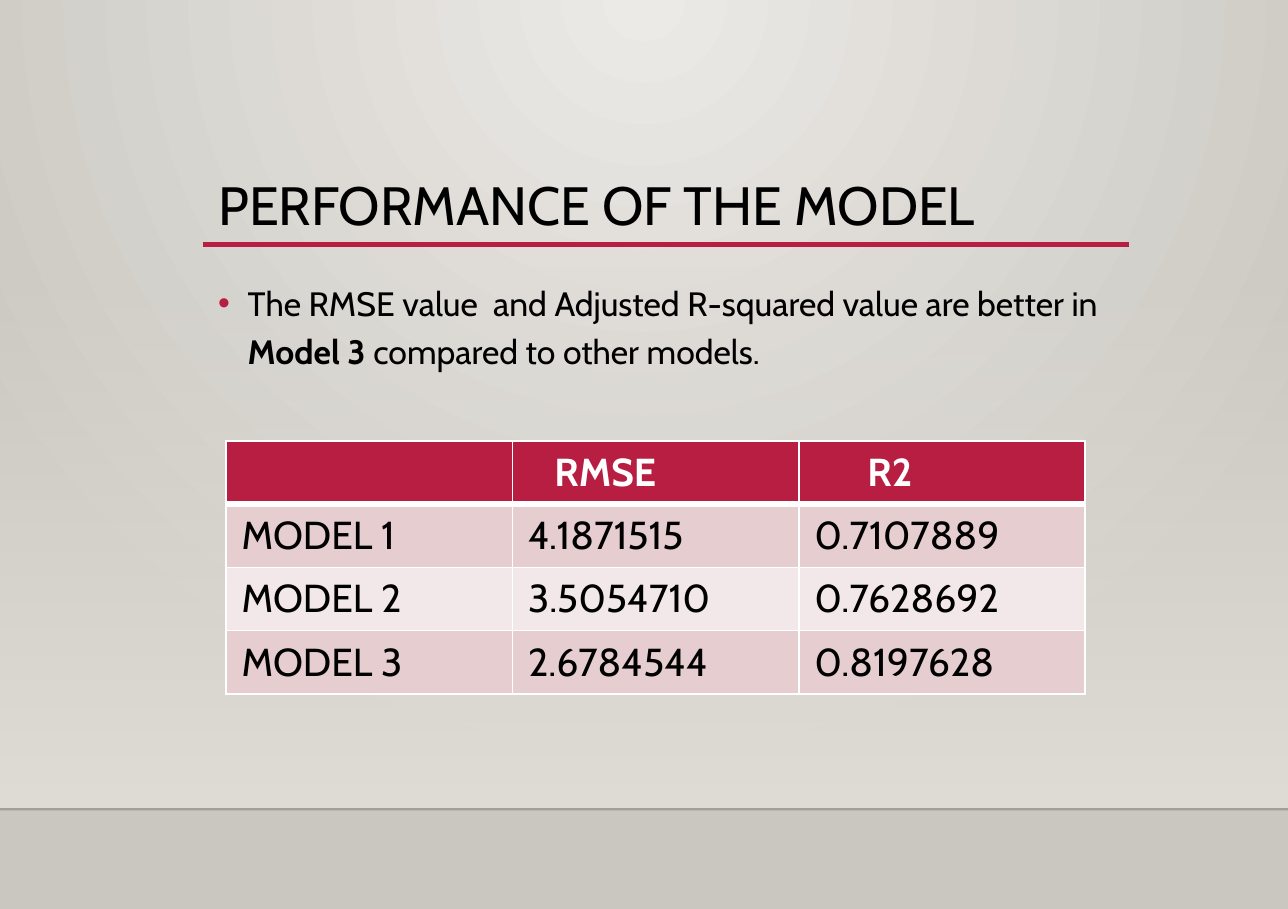
from dataclasses import dataclass

from lxml import etree
from pptx import Presentation
from pptx.dml.color import RGBColor
from pptx.enum.shapes import MSO_CONNECTOR, MSO_SHAPE
from pptx.enum.text import MSO_ANCHOR, MSO_AUTO_SIZE, PP_ALIGN
from pptx.oxml.ns import qn
from pptx.util import Inches, Pt

STRAIGHT = MSO_CONNECTOR.STRAIGHT
RECTANGLE = MSO_SHAPE.RECTANGLE
LEFT = PP_ALIGN.LEFT
BOTTOM, MIDDLE = MSO_ANCHOR.BOTTOM, MSO_ANCHOR.MIDDLE
NO_AUTOFIT = MSO_AUTO_SIZE.NONE

CRIMSON = RGBColor(0xB7, 0x1E, 0x42)
ROSE = RGBColor(0xE6, 0xCD, 0xCF)
PALE_ROSE = RGBColor(0xF3, 0xE8, 0xE9)
BLACK = RGBColor(0, 0, 0)
WHITE = RGBColor(0xFF, 0xFF, 0xFF)
NEAR_BLACK = RGBColor(0, 0, 1)
LIGHT_STONE = RGBColor(0xEC, 0xEA, 0xE7)
DARK_STONE = RGBColor(0xCA, 0xC7, 0xC1)
SAND = RGBColor(0xDF, 0xDB, 0xD5)

FONT = "Cabin"
WIDTH, HEIGHT = Inches(8.26), Inches(5.83)


def across(percent: float) -> int:
    return round(WIDTH * percent / 100)


def down(percent: float) -> int:
    return round(HEIGHT * percent / 100)


@dataclass
class Area:
    """A place on the slide, in percent of its width and height."""
    left: float
    top: float
    width: float
    height: float

    def box(self) -> tuple:
        return (across(self.left), down(self.top),
                across(self.width), down(self.height))


@dataclass
class Rule:
    """A horizontal line, in percent of the slide's width and height."""
    left: float
    right: float
    top: float
    color: RGBColor
    weight: float
    opacity: int = 100


@dataclass
class Header:
    label: str
    indent: float


TITLE_AREA = Area(15.74, 18.52, 71.91, 8.4)
BODY_AREA = Area(15.74, 29.33, 71.91, 50.43)
PANEL_AREA = Area(0, 29.33, 100, 59.52)
TABLE_AREA = Area(17.55, 48.54, 66.71, 27.79)

RULES = [
    Rule(0, 100, 89.02, NEAR_BLACK, 1, 20),
    Rule(15.74, 87.65, 26.93, CRIMSON, 2.5),
]

HEADERS = [Header("", 0.1), Header("RMSE", 0.27), Header("R2", 0.44)]
SCORES = [
    ("MODEL 1", "4.1871515", "0.7107889"),
    ("MODEL 2", "3.5054710", "0.7628692"),
    ("MODEL 3", "2.6784544", "0.8197628"),
]


def set_opacity(element, percent: int) -> None:
    color = next(element.iter(qn("a:srgbClr")))
    etree.SubElement(color, qn("a:alpha"), val=str(percent * 1000))


def set_gradient(fill, start: RGBColor, end: RGBColor) -> None:
    fill.gradient()
    for stop, color in zip(fill.gradient_stops, (start, end)):
        stop.color.rgb = color


def style_run(run, size: float, color: RGBColor, bold: bool = False) -> None:
    run.font.name = FONT
    run.font.size = Pt(size)
    run.font.color.rgb = color
    run.font.bold = bold


def paint_background(slide) -> None:
    set_gradient(slide.background.fill, LIGHT_STONE, DARK_STONE)
    gradient = next(slide.element.iter(qn("a:gradFill")))
    gradient.remove(gradient.find(qn("a:lin")))
    circle = etree.SubElement(gradient, qn("a:path"), path="circle")
    etree.SubElement(circle, qn("a:fillToRect"),
                     l="43000", t="0", r="43000", b="100000")


def add_panel(slide) -> None:
    panel = slide.shapes.add_shape(RECTANGLE, *PANEL_AREA.box())
    panel.shadow.inherit = False
    panel.line.fill.background()
    set_gradient(panel.fill, SAND, SAND)
    panel.fill.gradient_angle = 270
    set_opacity(next(panel.element.iter(qn("a:gs"))), 0)


def add_rule(slide, rule: Rule) -> None:
    line = slide.shapes.add_connector(STRAIGHT, across(rule.left), down(rule.top),
                                      across(rule.right), down(rule.top))
    line.line.color.rgb = rule.color
    line.line.width = Pt(rule.weight)
    properties = line.element.spPr
    if rule.opacity < 100:
        set_opacity(properties, rule.opacity)
    etree.SubElement(properties, qn("a:effectLst"))


def write_title(slide) -> None:
    title = slide.shapes.title
    title.left, title.top, title.width, title.height = TITLE_AREA.box()
    frame = title.text_frame
    frame.text = "PERFORMANCE OF THE MODEL"
    frame.word_wrap = True
    frame.auto_size = NO_AUTOFIT
    frame.vertical_anchor = BOTTOM
    heading = frame.paragraphs[0]
    heading.alignment = LEFT
    heading.line_spacing = 0.9
    style_run(heading.runs[0], 24.9, BLACK)


def write_finding(slide) -> None:
    frame = slide.shapes.add_textbox(*BODY_AREA.box()).text_frame
    frame.word_wrap = True
    finding = frame.paragraphs[0]
    finding.line_spacing = 1.2
    finding.space_before = Pt(7.8)
    for words, bold in (
        ("The RMSE value  and Adjusted R-squared value are better in ", False),
        ("Model 3", True),
        (" compared to other models.", False),
    ):
        run = finding.add_run()
        run.text = words
        style_run(run, 15.6, BLACK, bold)
    # Crimson bullet with a hanging indent
    properties = finding._p.get_or_add_pPr()
    properties.set("marL", str(Inches(0.19)))
    properties.set("indent", str(-Inches(0.19)))
    bullet_color = etree.SubElement(properties, qn("a:buClr"))
    etree.SubElement(bullet_color, qn("a:srgbClr"), val=str(CRIMSON))
    etree.SubElement(properties, qn("a:buFont"), typeface="Arial")
    etree.SubElement(properties, qn("a:buChar"), char="•")


def set_borders(cell, top: float, bottom: float) -> None:
    properties = cell._tc.get_or_add_tcPr()
    weights = {"a:lnL": 1, "a:lnR": 1, "a:lnT": top, "a:lnB": bottom}
    for position, (side, weight) in enumerate(weights.items()):
        border = etree.Element(qn(side), w=str(Pt(weight)))
        fill = etree.SubElement(border, qn("a:solidFill"))
        etree.SubElement(fill, qn("a:srgbClr"), val=str(WHITE))
        properties.insert(position, border)


def add_scores(slide) -> None:
    lines = [tuple(header.label for header in HEADERS), *SCORES]
    scores = slide.shapes.add_table(len(lines), len(HEADERS),
                                    *TABLE_AREA.box()).table
    for row, values in enumerate(lines):
        is_header = row == 0
        band = CRIMSON if is_header else ROSE if row % 2 else PALE_ROSE
        for column, value in enumerate(values):
            cell = scores.cell(row, column)
            cell.text_frame.text = value
            cell.fill.solid()
            cell.fill.fore_color.rgb = band
            if is_header:
                cell.margin_left = Inches(HEADERS[column].indent)
            for run in cell.text_frame.paragraphs[0].runs:
                style_run(run, 18, WHITE if is_header else BLACK, is_header)
            set_borders(cell, 3 if row == 1 else 1, 3 if is_header else 1)


def main() -> None:
    deck = Presentation()
    deck.slide_width, deck.slide_height = WIDTH, HEIGHT
    slide = deck.slides.add_slide(deck.slide_layouts.get_by_name("Title Only"))
    # Backdrop
    paint_background(slide)
    add_panel(slide)
    for rule in RULES:
        add_rule(slide, rule)
    # Content
    write_title(slide)
    write_finding(slide)
    add_scores(slide)
    deck.save("out.pptx")


if __name__ == "__main__":
    main()
